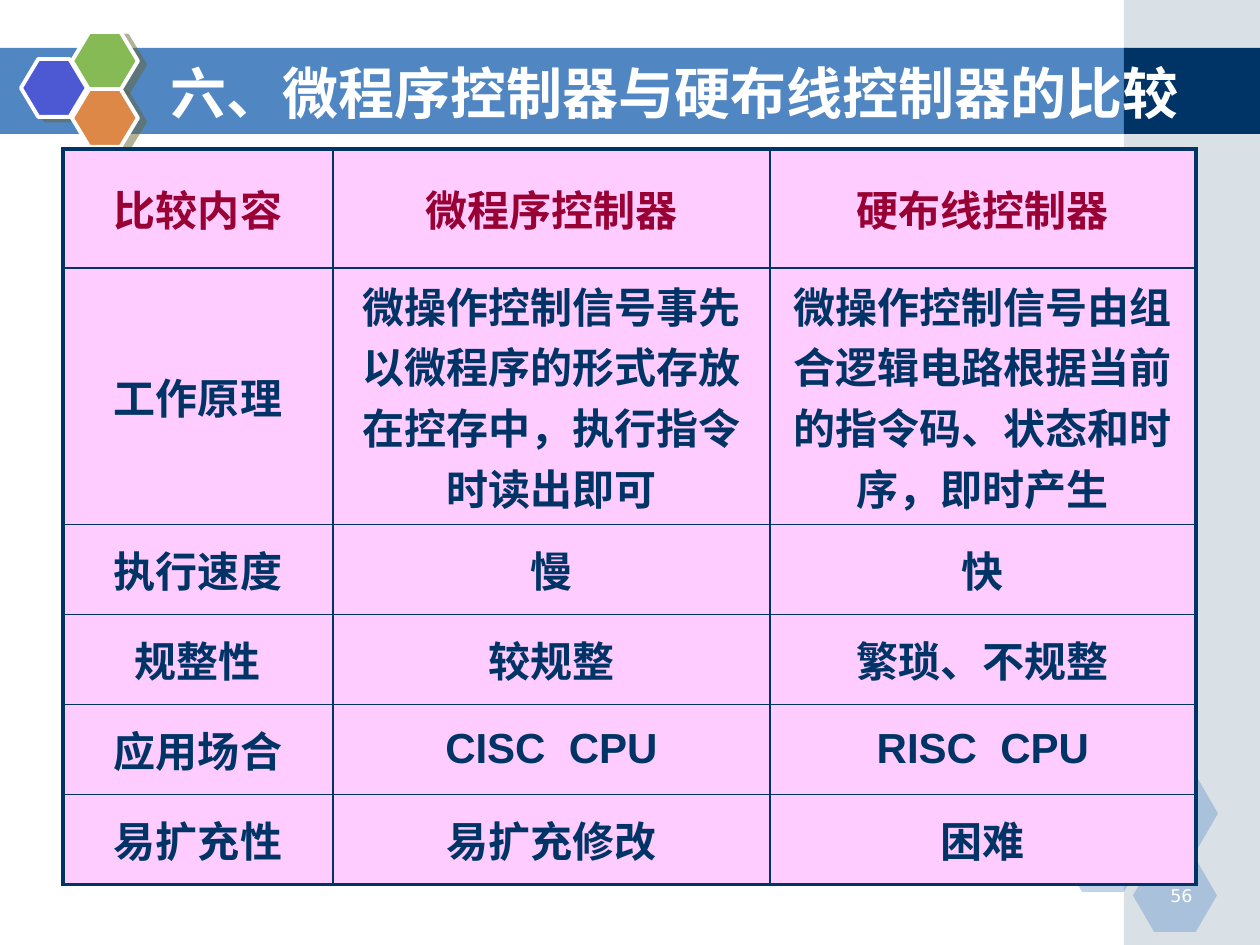
from pptx import Presentation
from pptx.dml.color import RGBColor
from pptx.enum.shapes import MSO_SHAPE
from pptx.enum.text import MSO_ANCHOR, MSO_AUTO_SIZE, PP_ALIGN
from pptx.oxml import parse_xml
from pptx.oxml.ns import nsdecls, qn
from pptx.util import Pt
from lxml import etree

RECT, HEXAGON = MSO_SHAPE.RECTANGLE, MSO_SHAPE.HEXAGON
LEFT, CENTER, RIGHT = PP_ALIGN.LEFT, PP_ALIGN.CENTER, PP_ALIGN.RIGHT
MIDDLE = MSO_ANCHOR.MIDDLE
PX = 914400 // 126
NAVY, BLUE, WHITE = "003366", "5086C2", "FFFFFF"
CJK = "Noto Sans CJK SC"


def rgb(value):
    return RGBColor.from_string(value)


def add_text(p, text, size, font, color, bold, align):
    p.alignment = align
    r = p.add_run()
    r.text = text
    r.font.size = Pt(size)
    r.font.bold = bold
    r.font.color.rgb = rgb(color)
    r.font.name = font
    etree.SubElement(r.font._element, qn("a:ea")).set("typeface", CJK)


prs = Presentation()
prs.slide_width, prs.slide_height = 1260 * PX, 945 * PX
s = prs.slides.add_slide(prs.slide_layouts[5])

decorations = [
    (RECT, -1, 48, 1129, 86, BLUE, 100),
    (RECT, 1124, 0, 136, 945, "A0B5C4", 40),
    (RECT, 1124, 48, 136, 86, NAVY, 100),
    (HEXAGON, 1061, 819, 84, 73, BLUE, 35),
    (HEXAGON, 1134, 777, 84, 73, BLUE, 35),
    (HEXAGON, 1133, 859, 84, 73, BLUE, 35),
]
for kind, x, y, w, h, color, alpha in decorations:
    sp = s.shapes.add_shape(kind, x * PX, y * PX, w * PX, h * PX)
    sp.shadow.inherit = False
    sp.fill.solid()
    sp.fill.fore_color.rgb = rgb(color)
    sp.line.fill.background()
    if kind == HEXAGON:
        sp.adjustments[0] = 0.29
    if alpha < 100:
        clr = sp._element.spPr.find(".//" + qn("a:srgbClr"))
        etree.SubElement(clr, qn("a:alpha")).set("val", str(alpha * 1000))

for x, y, color in [(21, 59, "4C59D2"), (72, 32, "85BA54"), (72, 89, "DE8848")]:
    sp = s.shapes.add_shape(HEXAGON, x * PX, y * PX, 66 * PX, 58 * PX)
    sp.adjustments[0] = 0.3
    sp.fill.solid()
    sp.fill.fore_color.rgb = rgb(color)
    sp.line.color.rgb = rgb(WHITE)
    sp.line.width = Pt(2.25)
    sp._element.spPr.append(parse_xml(
        f'<a:effectLst {nsdecls("a")}><a:outerShdw dist="57150" dir="1620000">'
        '<a:srgbClr val="666633"><a:alpha val="50000"/></a:srgbClr>'
        '</a:outerShdw></a:effectLst>'))

sp = s.shapes.add_textbox(1142 * PX, 879 * PX, 63 * PX, 32 * PX)
sp.text_frame.word_wrap = True
add_text(sp.text_frame.paragraphs[0], "56", 10, "DejaVu Sans", WHITE, False, RIGHT)

title = s.shapes.title
title.left, title.top, title.width, title.height = 158 * PX, 53 * PX, 1048 * PX, 78 * PX
tf = title.text_frame
tf.auto_size = MSO_AUTO_SIZE.NONE
tf.vertical_anchor = MIDDLE
add_text(tf.paragraphs[0], "六、微程序控制器与硬布线控制器的比较", 32, CJK, WHITE, True, LEFT)
s.shapes._spTree.append(title._element)

rows = [
    ("比较内容", "微程序控制器", "硬布线控制器"),
    ("工作原理", "微操作控制信号事先以微程序的形式存放在控存中，执行指令时读出即可",
     "微操作控制信号由组合逻辑电路根据当前的指令码、状态和时序，即时产生"),
    ("执行速度", "慢", "快"),
    ("规整性", "较规整", "繁琐、不规整"),
    ("应用场合", "CISC  CPU", "RISC  CPU"),
    ("易扩充性", "易扩充修改", "困难"),
]
widths = [270, 437, 426]
heights = [119, 224] + [90] * 4
table = s.shapes.add_table(len(rows), len(widths), 63 * PX, 149 * PX,
                           sum(widths) * PX, sum(heights) * PX).table
table.first_row = table.horz_banding = False
for column, w in zip(table.columns, widths):
    column.width = w * PX
for row, h in zip(table.rows, heights):
    row.height = h * PX

for i, texts in enumerate(rows):
    for j, text in enumerate(texts):
        cell = table.cell(i, j)
        cell.vertical_anchor = MIDDLE
        outer = {"L": j == 0, "R": j == len(widths) - 1,
                 "T": i == 0, "B": i == len(rows) - 1}
        for side, thick in outer.items():
            width = Pt(2.25 if thick else 1)
            cell._tc.get_or_add_tcPr().append(parse_xml(
                f'<a:ln{side} {nsdecls("a")} w="{width}"><a:solidFill>'
                f'<a:srgbClr val="{NAVY}"/></a:solidFill></a:ln{side}>'))
        cell.fill.solid()
        cell.fill.fore_color.rgb = rgb("FFCCFF")
        add_text(cell.text_frame.paragraphs[0], text, 24, "Arial",
                 NAVY if i else "990033", True, CENTER)

prs.save("out.pptx")
